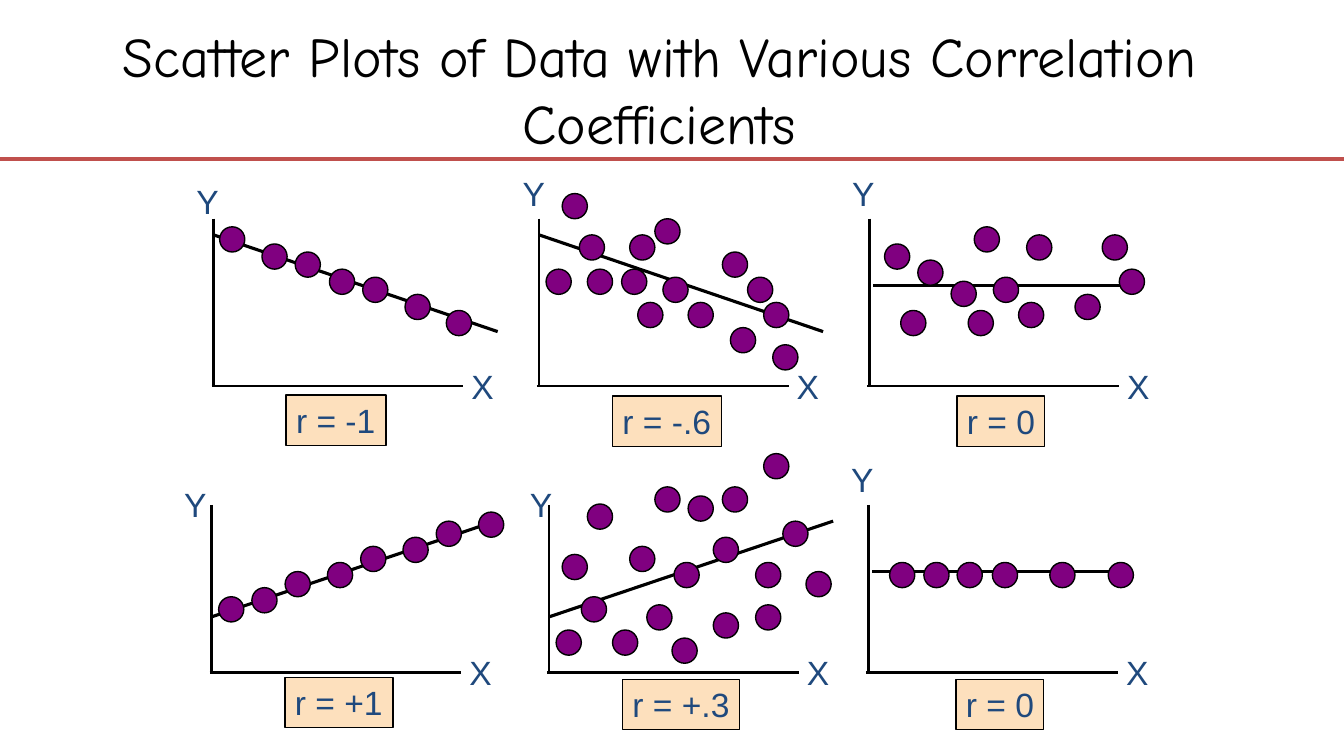
import pptx
import pptx.util
import pptx.dml.color
import pptx.enum.shapes
import pptx.enum.text
import pptx.oxml.ns
import lxml.etree

Inches = pptx.util.Inches
Pt = pptx.util.Pt
ALIGN = pptx.enum.text.PP_ALIGN
ANCHOR = pptx.enum.text.MSO_ANCHOR
SHAPE = pptx.enum.shapes.MSO_SHAPE
DOT_SIZE = 0.25
AXIS_HEIGHT = 1.66
AXIS_WIDTH = 2.5

PANELS = [
    dict(origin=(2.12, 3.83), y_label=(1.85, 1.75), trend=(2.12, 2.33, 4.94, 3.29),
         result="r = -1", result_box=(2.84, 3.92, 0.99),
         dots=[(2.18, 2.25), (2.6, 2.42), (2.93, 2.5), (3.27, 2.67), (3.6, 2.75),
               (4.02, 2.92), (4.43, 3.08)]),
    dict(origin=(5.35, 3.83), y_label=(5.09, 1.67), trend=(5.35, 2.33, 8.17, 3.29),
         result="r = -.6", result_box=(6.08, 3.93, 1.08),
         dots=[(5.42, 2.67), (5.58, 1.92), (5.75, 2.33), (5.83, 2.67), (6.17, 2.67),
               (6.25, 2.33), (6.33, 3), (6.5, 2.17), (6.58, 2.75), (6.83, 3),
               (7.17, 2.5), (7.25, 3.25), (7.42, 2.75), (7.58, 3), (7.67, 3.42)]),
    dict(origin=(8.63, 3.83), y_label=(8.36, 1.67), trend=(8.67, 2.83, 11.17, 2.83),
         result="r = 0", result_box=(9.5, 3.93, 0.87),
         dots=[(8.78, 2.42), (8.94, 3.08), (9.11, 2.58), (9.44, 2.79), (9.61, 3.08),
               (9.67, 2.25), (9.86, 2.75), (10.11, 3), (10.19, 2.33), (10.67, 2.92),
               (10.94, 2.33), (11.11, 2.67)]),
    dict(origin=(2.1, 6.67), y_label=(1.73, 4.75), trend=(2.1, 6.12, 4.92, 5.17),
         result="r = +1", result_box=(2.83, 6.72, 1.07),
         dots=[(2.17, 5.92), (2.5, 5.83), (2.83, 5.67), (3.25, 5.58), (3.58, 5.42),
               (4, 5.33), (4.33, 5.17), (4.75, 5.08)]),
    dict(origin=(5.45, 6.67), y_label=(5.16, 4.75), trend=(5.45, 6.12, 8.27, 5.17),
         result="r = +.3", result_box=(6.18, 6.74, 1.16),
         dots=[(5.52, 6.25), (5.58, 5.5), (5.77, 5.92), (5.83, 5), (6.08, 6.25),
               (6.25, 5.42), (6.42, 6), (6.5, 4.83), (6.67, 6.33), (6.69, 5.58),
               (6.83, 4.92), (7.08, 5.33), (7.08, 6.08), (7.17, 4.83), (7.5, 5.58),
               (7.5, 6), (7.58, 4.5), (7.77, 5.17), (8, 5.67)]),
    dict(origin=(8.62, 6.67), y_label=(8.35, 4.5), trend=(8.66, 5.67, 11.16, 5.67),
         result="r = 0", result_box=(9.49, 6.74, 0.87),
         dots=[(left, 5.58) for left in (8.83, 9.17, 9.5, 9.85, 10.42, 11)]),
]


def color(value):
    return pptx.dml.color.RGBColor.from_string(value)


deck = pptx.Presentation()
deck.slide_width = Inches(13.34)
deck.slide_height = Inches(7.5)
slide = deck.slides.add_slide(deck.slide_layouts[6])

lines = [(0, 1.58, 13.34, 1.58, "C0504D", 3)]
texts = [("Scatter Plots of Data with Various Correlation Coefficients",
          (0.17, 0.25, 12.75, 1.25), "Comic Neue", 40, "000000", None)]
for panel in PANELS:
    x, y = panel["origin"]
    start = x - 0.02
    lines.append((x, y - AXIS_HEIGHT, x, y, "000000", 2))
    lines.append((start, y, start + AXIS_WIDTH, y, "000000", 2))
    trend_width = 2 if panel["result"] == "r = 0" else 2.25
    lines.append((*panel["trend"], "000000", trend_width))
    left, top, width = panel["result_box"]
    labels = [("Y", (*panel["y_label"], 0.42, 0.5), None),
              ("X", (x + 2.46, y - 0.25, 0.42, 0.5), None),
              (panel["result"], (left, top, width, 0.5), "FDE0BD")]
    for label, place, fill in labels:
        texts.append((label, place, "Arial", 24, "1F497D", fill))

for x1, y1, x2, y2, stroke, weight in lines:
    line = slide.shapes.add_connector(
        pptx.enum.shapes.MSO_CONNECTOR.STRAIGHT,
        Inches(x1), Inches(y1), Inches(x2), Inches(y2))
    line.line.color.rgb = color(stroke)
    line.line.width = Pt(weight)
    lxml.etree.SubElement(line._element.spPr, pptx.oxml.ns.qn("a:effectLst"))

for panel in PANELS:
    for left, top in panel["dots"]:
        dot = slide.shapes.add_shape(
            SHAPE.OVAL, Inches(left), Inches(top), Inches(DOT_SIZE), Inches(DOT_SIZE))
        dot.shadow.inherit = False
        dot.fill.solid()
        dot.fill.fore_color.rgb = color("800080")
        dot.line.color.rgb = color("000000")
        dot.line.width = Pt(1)

for text, place, font, size, ink, fill in texts:
    bounds = [Inches(length) for length in place]
    if fill:
        box = slide.shapes.add_shape(SHAPE.RECTANGLE, *bounds)
        box.shadow.inherit = False
        box.fill.solid()
        box.fill.fore_color.rgb = color(fill)
        box.line.color.rgb = color("000000")
        box.line.width = Pt(1)
    else:
        box = slide.shapes.add_textbox(*bounds)
    is_title = size == 40
    frame = box.text_frame
    frame.word_wrap = is_title
    frame.vertical_anchor = ANCHOR.MIDDLE if is_title else ANCHOR.TOP
    para = frame.paragraphs[0]
    para.alignment = ALIGN.CENTER if is_title else ALIGN.LEFT
    span = para.add_run()
    span.text = text
    span.font.name = font
    span.font.size = Pt(size)
    span.font.color.rgb = color(ink)

deck.save("out.pptx")
